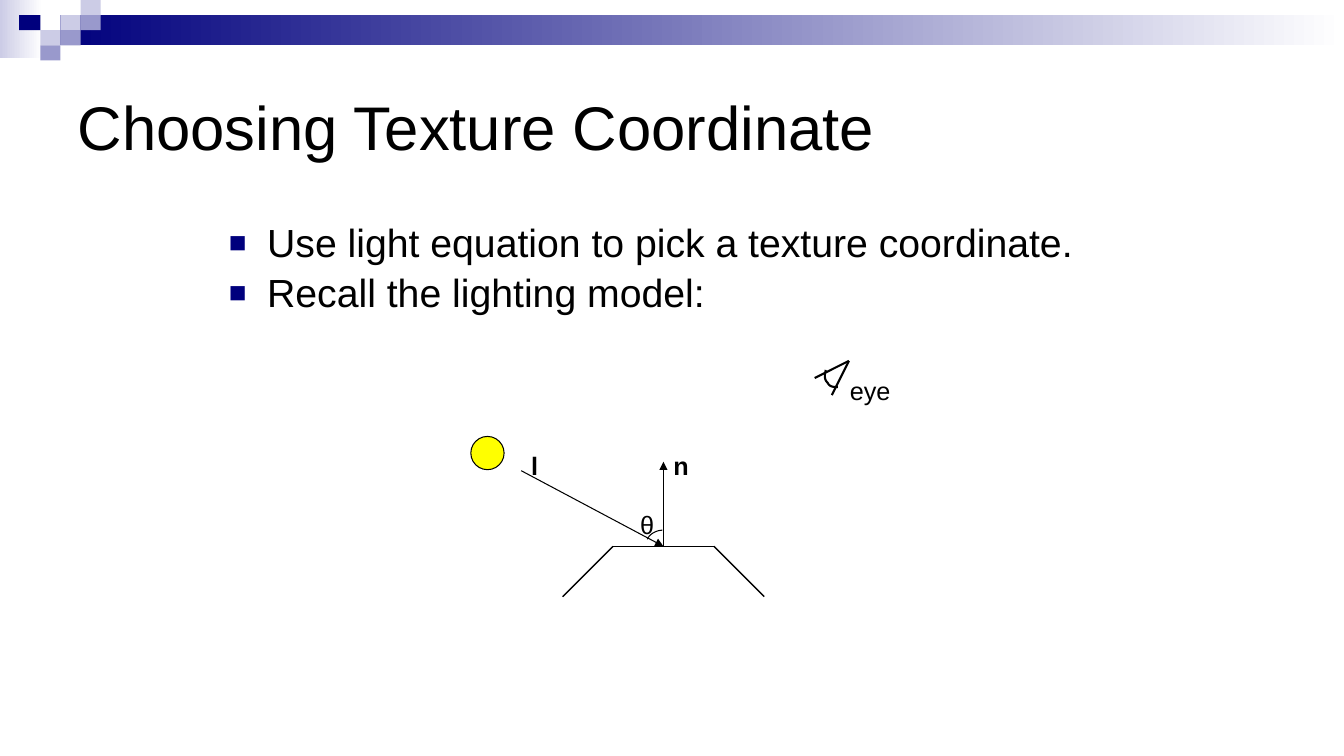
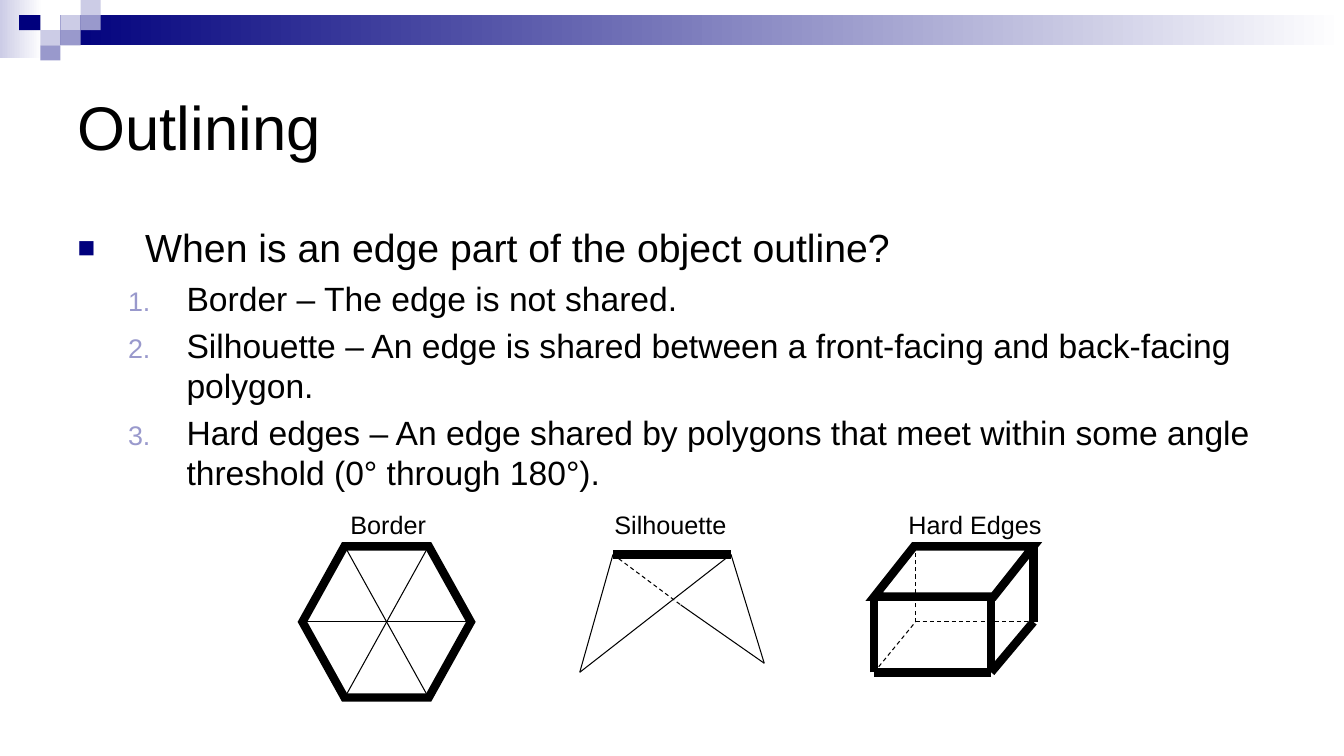
from itertools import pairwise

from lxml import etree
from pptx import Presentation
from pptx.dml.color import RGBColor
from pptx.enum.dml import MSO_LINE
from pptx.enum.shapes import MSO_CONNECTOR, MSO_SHAPE
from pptx.enum.text import MSO_ANCHOR, MSO_AUTO_SIZE, PP_ALIGN
from pptx.oxml.ns import qn
from pptx.util import Inches, Pt

RECT, OVAL = MSO_SHAPE.RECTANGLE, MSO_SHAPE.OVAL
HEX, SLANT = MSO_SHAPE.HEXAGON, MSO_SHAPE.PARALLELOGRAM
LINE, DASH = MSO_CONNECTOR.STRAIGHT, MSO_LINE.DASH
LEFT, CENTER = PP_ALIGN.LEFT, PP_ALIGN.CENTER
MIDDLE, TOP, FIXED = MSO_ANCHOR.MIDDLE, MSO_ANCHOR.TOP, MSO_AUTO_SIZE.NONE

FONT = "Arial"
WIDTH, HEIGHT = 13.33, 7.5
THIN, BOLD = 0.75, 6
COLORS = {
    "ink": "000000",
    "navy": "00007D",
    "mid": "9999CC",
    "pale": "CCCCE6",
    "white": "FFFFFF",
    "sun": "FFFF00",
}
# Corner tiles: left, top, width, colour
TILES = [
    (0.6, 0.15, 0.2, "pale"),
    (0.8, 0, 0.2, "pale"),
    (0.8, 0.15, 0.2, "mid"),
    (0.4, 0.3, 0.2, "pale"),
    (0.19, 0.15, 0.21, "navy"),
    (0.6, 0.3, 0.2, "mid"),
    (0.4, 0.45, 0.2, "mid"),
]


def rgb(name):
    return RGBColor.from_string(COLORS[name])


def sub(node, tag, **attrs):
    return etree.SubElement(node, qn(tag), attrs)


def curve(a, b, c, d, steps=12):
    """Points along a cubic curve from a to d."""
    points = []
    for i in range(steps + 1):
        t = i / steps
        u = 1 - t
        mix = (u**3, 3 * u * u * t, 3 * u * t * t, t**3)
        points.append(tuple(sum(m * p[k] for m, p in zip(mix, (a, b, c, d)))
                            for k in (0, 1)))
    return points


class Deck:
    def __init__(self):
        self.prs = Presentation()
        self.prs.slide_width = Inches(WIDTH)
        self.prs.slide_height = Inches(HEIGHT)

    def page(self, title):
        self.slide = self.prs.slides.add_slide(self.prs.slide_layouts[1])
        self.shapes = self.slide.shapes
        # Header band and tiles
        self.fade(0, 0, 0.42, 0.58, "pale")
        self.fade(0.6, 0.15, WIDTH - 0.6, 0.3, "navy")
        for x, y, w, color in TILES:
            self.shape(RECT, x, y, w, 0.15, fill=color)
        # Title
        frame = self.place(self.shapes.title, 0.67, 0.5, 12, 1.5, MIDDLE)
        self.style(frame.paragraphs[0], title, 44)

    def place(self, box, x, y, w, h, anchor):
        box.left, box.top = Inches(x), Inches(y)
        box.width, box.height = Inches(w), Inches(h)
        frame = box.text_frame
        frame.word_wrap = True
        frame.auto_size = FIXED
        frame.vertical_anchor = anchor
        return frame

    def style(self, para, text, size, align=LEFT, bold=False):
        para.text = text
        para.alignment = align
        font = para.font
        font.name, font.size, font.bold = FONT, Pt(size), bold
        font.color.rgb = rgb("ink")

    def body(self, x, y, w, h, items, indent, pitch=1.0):
        """Items are (level, text); level 1 is numbered."""
        frame = self.place(self.slide.placeholders[1], x, y, w, h, TOP)
        for i, (level, text) in enumerate(items):
            para = frame.add_paragraph() if i else frame.paragraphs[0]
            para.level = level
            self.bullet(para, level, indent)
            size = 24 if level else 28
            self.style(para, text, size)
            para.line_spacing = pitch
            para.space_before = Pt(size * 0.2 if i else 0)

    def bullet(self, para, level, indent):
        left, hang = (1.08, 0.58) if level else (indent, indent)
        color, size = ("mid", "80000") if level else ("navy", "75000")
        props = para._p.get_or_add_pPr()
        props.set("marL", str(Inches(left)))
        props.set("indent", str(-Inches(hang)))
        sub(sub(props, "a:buClr"), "a:srgbClr", val=COLORS[color])
        sub(props, "a:buSzPct", val=size)
        sub(props, "a:buFont", typeface=FONT)
        if level:
            sub(props, "a:buAutoNum", type="arabicPeriod")
        else:
            sub(props, "a:buChar", char="■")

    def label(self, text, x, y, w, align=LEFT, bold=False):
        box = self.shapes.add_textbox(0, 0, 0, 0)
        frame = self.place(box, x, y, w, 0.4, TOP)
        self.style(frame.paragraphs[0], text, 18, align, bold)

    def stroke(self, line, width):
        line.color.rgb = rgb("ink")
        line.width = Pt(width)

    def shape(self, kind, x, y, w, h, fill=None, width=0):
        item = self.shapes.add_shape(
            kind, Inches(x), Inches(y), Inches(w), Inches(h))
        item.shadow.inherit = False
        if fill:
            item.fill.solid()
            item.fill.fore_color.rgb = rgb(fill)
        else:
            item.fill.background()
        if width:
            self.stroke(item.line, width)
            sub(item.line._get_or_add_ln(), "a:miter", lim="800000")
        else:
            item.line.fill.background()
        return item

    def fade(self, x, y, w, h, color):
        fill = self.shape(RECT, x, y, w, h, fill=color).fill
        fill.gradient()
        fill.gradient_angle = 0
        for stop, name in zip(fill.gradient_stops, (color, "white")):
            stop.color.rgb = rgb(name)

    def line(self, start, end, width=THIN, dash=False, arrow=False):
        item = self.shapes.add_connector(
            LINE, *(Inches(v) for v in (*start, *end)))
        self.stroke(item.line, width)
        if dash:
            item.line.dash_style = DASH
        if arrow:
            sub(item.line._get_or_add_ln(), "a:tailEnd", type="triangle")
        sub(item._element.spPr, "a:effectLst")

    def chain(self, *points, **style):
        for start, end in pairwise(points):
            self.line(start, end, **style)

    def trace(self, points, width):
        dots = [(Inches(x), Inches(y)) for x, y in points]
        pen = self.shapes.build_freeform(*dots[0])
        pen.add_line_segments(dots[1:], close=False)
        item = pen.convert_to_shape()
        item.shadow.inherit = False
        item.fill.background()
        self.stroke(item.line, width)


def light(deck):
    deck.page("Choosing Texture Coordinate")
    deck.body(2.17, 2.17, 9, 1.25, [
        (0, "Use light equation to pick a texture coordinate."),
        (0, "Recall the lighting model:"),
    ], indent=0.38, pitch=0.9)
    # Surface, normal and light ray
    hit = (6.58, 5.42)
    deck.chain((5.58, 5.92), (6.08, 5.42), (7.08, 5.42), (7.58, 5.92), width=1)
    deck.line(hit, (6.58, 4.58), arrow=True)
    deck.label("n", 6.58, 4.42, 0.33, bold=True)
    deck.line((5.17, 4.67), hit, arrow=True)
    deck.label("l", 5.17, 4.42, 0.25, bold=True)
    # Angle
    deck.trace(curve((6.42, 5.35), (6.44, 5.3), (6.51, 5.26), (6.57, 5.26)),
               THIN)
    deck.label("θ", 6.25, 5, 0.33)
    # Eye
    deck.chain((8.08, 3.75), (8.42, 3.58), (8.25, 3.92), width=1.5)
    lid = curve((8.19, 3.67), (8.18, 3.72), (8.17, 3.76), (8.21, 3.8))
    lid += curve((8.21, 3.8), (8.23, 3.84), (8.27, 3.84), (8.31, 3.84))[1:]
    deck.trace(lid, 1.5)
    deck.label("eye", 8.33, 3.67, 0.92)
    # Sun
    deck.shape(OVAL, 4.67, 4.33, 0.33, 0.33, fill="sun", width=THIN)


def edges(deck):
    deck.page("Outlining")
    deck.body(0.67, 2.17, 12, 4.25, [
        (0, "When is an edge part of the object outline?"),
        (1, "Border – The edge is not shared."),
        (1, "Silhouette – An edge is shared between a front-facing and "
            "back-facing polygon."),
        (1, "Hard edges – An edge shared by polygons that meet within some "
            "angle threshold (0° through 180°)."),
    ], indent=0.67)
    # Border: hexagon with spokes
    ring = deck.shape(HEX, 3, 5.42, 1.67, 1.5, width=BOLD)
    ring.adjustments[0] = 0.278
    deck.line((3.42, 6.92), (4.25, 5.42))
    deck.line((3, 6.17), (4.67, 6.17))
    deck.line((3.42, 5.42), (4.25, 6.92))
    # Silhouette: two faces on one edge
    west, east, cross = (6.08, 5.5), (7.25, 5.5), (6.75, 6)
    deck.chain(west, (5.75, 6.67), east)
    deck.line(west, east, width=BOLD)
    deck.chain(east, (7.58, 6.58), cross)
    deck.line(west, cross, dash=True)
    # Hard edges: box
    lid = deck.shape(SLANT, 8.67, 5.42, 1.58, 0.5, width=BOLD)
    lid.adjustments[0] = 0.792
    front, side = (8.67, 6.67), (9.83, 6.67)
    back, far = (9.08, 6.17), (10.25, 6.17)
    for foot in (front, side, far):
        deck.line(foot, (foot[0], foot[1] - 0.75), width=BOLD)
    deck.line(back, (9.08, 5.42), dash=True)
    deck.chain(front, back, far, dash=True)
    deck.chain(front, side, far, width=BOLD)
    # Captions
    for text, mid in (("Border", 3.85), ("Silhouette", 6.65),
                      ("Hard Edges", 9.67)):
        deck.label(text, mid - 1, 5, 2, CENTER)


def main():
    deck = Deck()
    light(deck)
    edges(deck)
    deck.prs.save("out.pptx")


if __name__ == "__main__":
    main()
